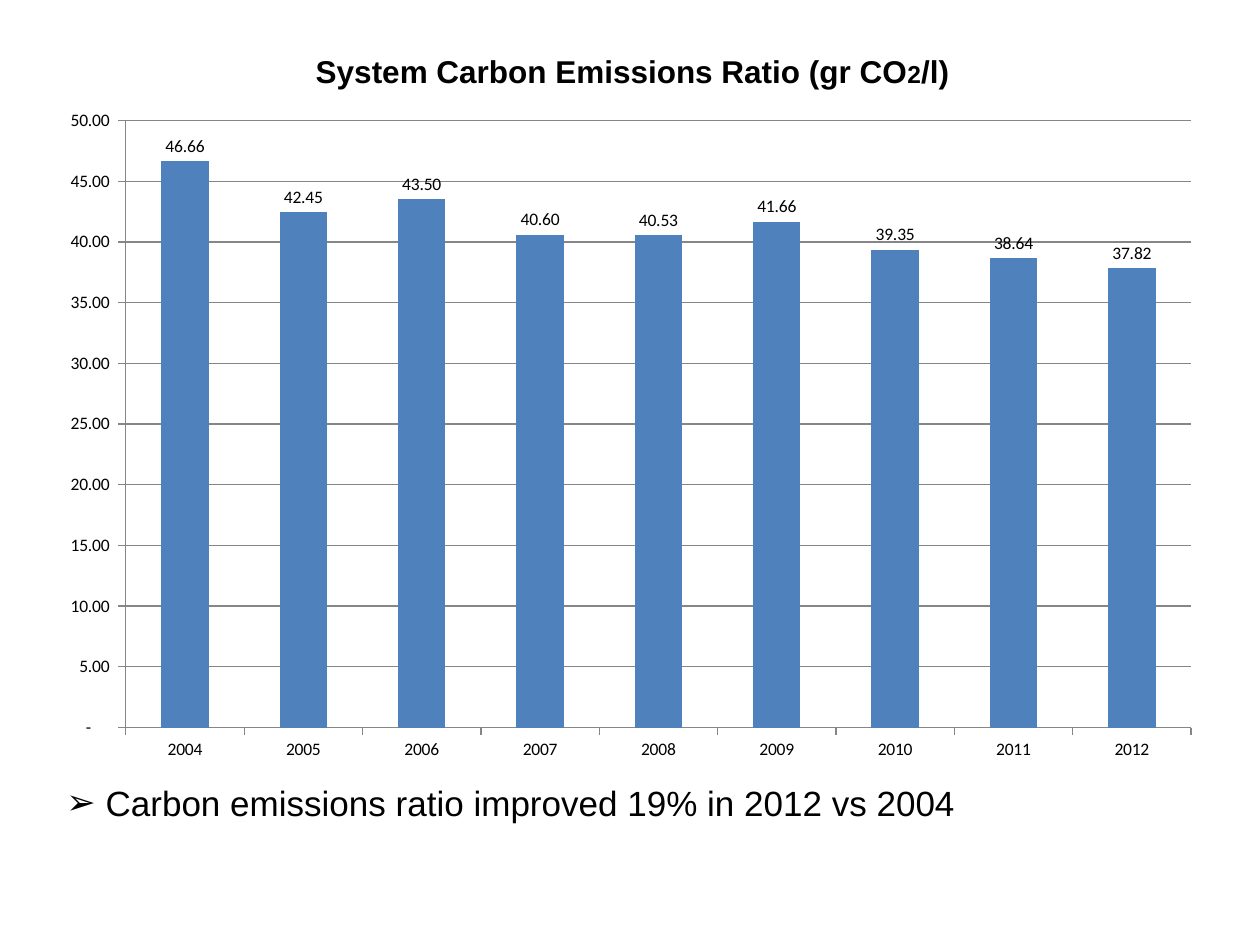
from lxml.etree import SubElement
from pptx import Presentation
from pptx.chart.data import CategoryChartData
from pptx.dml.color import RGBColor
from pptx.enum.chart import XL_CHART_TYPE as ChartType, XL_LABEL_POSITION as LabelPos
from pptx.enum.chart import XL_TICK_MARK as Tick
from pptx.enum.text import MSO_AUTO_SIZE as AutoSize
from pptx.oxml import parse_xml
from pptx.oxml.ns import nsdecls, qn
from pptx.util import Cm, Pt

COLORS = {"text": "000000", "bar": "4F81BD", "line": "868686", "back": "FFFFFF"}
RATIOS = {
    "2004": 46.66, "2005": 42.45, "2006": 43.50, "2007": 40.60, "2008": 40.53,
    "2009": 41.66, "2010": 39.35, "2011": 38.64, "2012": 37.82,
}
ACCOUNTING = '_(* #,##0.00_);_(* \\(#,##0.00\\);_(* "-"??_);_(@_)'


def color(name):
    return RGBColor.from_string(COLORS[name])


def style_font(font, size, name, bold=False):
    font.size, font.name, font.bold = Pt(size), name, bold
    font.color.rgb = color("text")


def add_run(p, text, size=20, name="Arial", bold=False):
    r = p.add_run()
    r.text = text
    style_font(r.font, size, name, bold)


def set_layout(parent, index, inner=False, **fractions):
    """Place a chart part by fractions of the chart's size."""
    for old in parent.findall(qn("c:layout")):
        parent.remove(old)
    layout = parse_xml(f"<c:layout {nsdecls('c')}><c:manualLayout/></c:layout>")
    manual = layout[0]
    if inner:
        SubElement(manual, qn("c:layoutTarget")).set("val", "inner")
    for key in ("x", "y"):
        SubElement(manual, qn(f"c:{key}Mode")).set("val", "edge")
    for key, value in fractions.items():
        SubElement(manual, qn(f"c:{key}")).set("val", str(value))
    parent.insert(index, layout)


def style_axis(axis):
    axis.major_tick_mark, axis.minor_tick_mark = Tick.OUTSIDE, Tick.NONE
    axis.format.line.color.rgb = color("line")
    axis.format.line.width = Pt(0.75)
    style_font(axis.tick_labels.font, 10, "Calibri")


def add_ratio_chart(s):
    data = CategoryChartData(number_format=ACCOUNTING)
    data.categories = list(RATIOS)
    data.add_series("Series 1", list(RATIOS.values()))
    chart = s.shapes.add_chart(ChartType.COLUMN_CLUSTERED, Cm(0.86), Cm(0.53),
                               Cm(23.6), Cm(15.09), data).chart
    chart.has_legend = False
    style_font(chart.font, 10, "Calibri")

    # Title with a smaller 2
    chart.has_title = True
    title = chart.chart_title
    p = title.text_frame.paragraphs[0]
    for text, size in (("System Carbon Emissions Ratio (gr CO", 18), ("2", 14), ("/l)", 18)):
        add_run(p, text, size=size, bold=True)
    set_layout(chart.element.find(".//" + qn("c:title")), 1, x=0.23, y=0.03)
    set_layout(chart.element.find(".//" + qn("c:plotArea")), 0, inner=True,
               x=0.071, y=0.126, w=0.91, h=0.811)

    # Axes and gridlines
    style_axis(chart.category_axis)
    axis = chart.value_axis
    style_axis(axis)
    axis.minimum_scale, axis.maximum_scale, axis.major_unit = 0, 50, 5
    axis.tick_labels.number_format = ACCOUNTING
    axis.tick_labels.number_format_is_linked = False
    axis.has_major_gridlines = True
    axis.major_gridlines.format.line.color.rgb = color("line")
    axis.major_gridlines.format.line.width = Pt(0.75)

    # Columns and their values
    plot = chart.plots[0]
    plot.gap_width = 150
    plot.vary_by_categories = False
    fill = plot.series[0].format.fill
    fill.solid()
    fill.fore_color.rgb = color("bar")
    labels = plot.series[0].data_labels
    labels.show_value = True
    labels.position = LabelPos.OUTSIDE_END
    labels.number_format, labels.number_format_is_linked = ACCOUNTING, False
    style_font(labels.font, 10, "Calibri")


def add_bullet_text(s, text, left, top, width, height, **fmt):
    tf = s.shapes.add_textbox(left, top, width, height).text_frame
    tf.word_wrap = True
    tf.auto_size = AutoSize.SHAPE_TO_FIT_TEXT
    p = tf.paragraphs[0]
    props = p._p.get_or_add_pPr()
    props.set("marL", str(Cm(0.79)))
    props.set("indent", str(-Cm(0.79)))
    SubElement(props, qn("a:buFont")).set("typeface", "Arial")
    SubElement(props, qn("a:buChar")).set("char", "➢")
    add_run(p, text, **fmt)


def main():
    prs = Presentation()
    prs.slide_width, prs.slide_height = Cm(25.4), Cm(19.05)
    s = prs.slides.add_slide(prs.slide_layouts[6])
    s.background.fill.solid()
    s.background.fill.fore_color.rgb = color("back")
    add_ratio_chart(s)
    add_bullet_text(s, "Carbon emissions ratio improved 19% in 2012 vs 2004",
                    Cm(1.09), Cm(15.62), Cm(23.52), Cm(1.12), size=20)
    prs.save("out.pptx")


if __name__ == "__main__":
    main()
